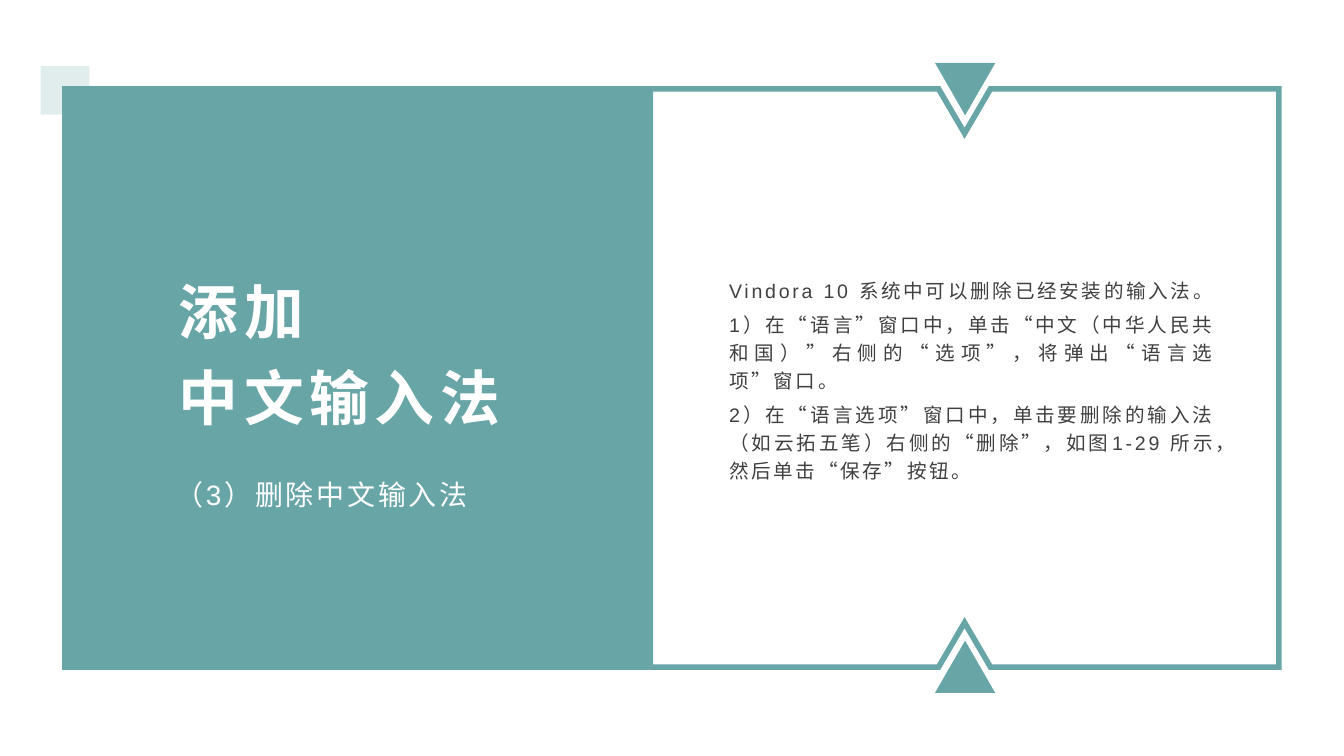
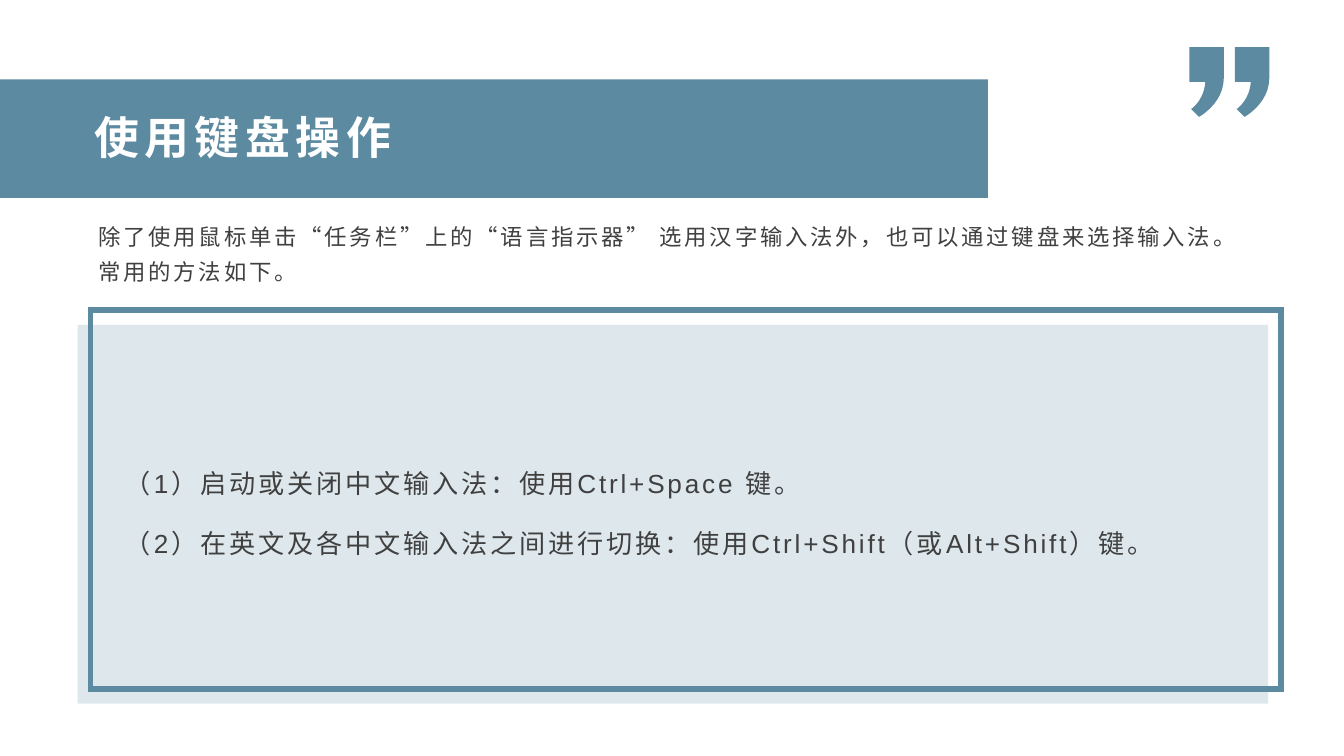
import dataclasses

import lxml.etree
import pptx
import pptx.dml.color
import pptx.enum.lang
import pptx.enum.shapes
import pptx.enum.text
import pptx.oxml.ns
import pptx.util

Cm = pptx.util.Cm
Pt = pptx.util.Pt
ShapeKind = pptx.enum.shapes.MSO_SHAPE
Align = pptx.enum.text.PP_ALIGN
Anchor = pptx.enum.text.MSO_ANCHOR


@dataclasses.dataclass(frozen=True)
class Theme:
    """Colours, font and sizes shared by the slides."""

    font: str = "Arial"
    white: str = "FFFFFF"
    ink: str = "404040"
    teal: str = "68A5A6"
    teal_tint: str = "E1EDED"
    blue: str = "5C8AA0"
    blue_tint: str = "DEE8EC"
    cover_size: float = 32
    title_size: float = 24
    subtitle_size: float = 15
    list_size: float = 14
    intro_size: float = 12
    body_size: float = 10.5
    title_tracking: float = 3
    text_tracking: float = 1.5
    line_width: float = 3


THEME = Theme()
TIGHT = (0.18, 0.1)
LOOSE = (0.25, 0.13)


def rgb(value):
    """Return a colour object for a hex value."""
    return pptx.dml.color.RGBColor.from_string(value)


def paint(shape, fill=None, line=None):
    """Set fill and a sharp-cornered line, and remove the shadow."""
    shape.shadow.inherit = False
    if fill:
        shape.fill.solid()
        shape.fill.fore_color.rgb = rgb(fill)
    else:
        shape.fill.background()
    if line:
        shape.line.color.rgb = rgb(line)
        shape.line.width = Pt(THEME.line_width)
        outline = shape._element.spPr.find(pptx.oxml.ns.qn("a:ln"))
        miter = lxml.etree.SubElement(outline, pptx.oxml.ns.qn("a:miter"))
        miter.set("lim", "800000")
    else:
        shape.line.fill.background()
    return shape


def add_preset(slide, box, kind=ShapeKind.RECTANGLE, fill=None, line=None):
    """Add a preset shape in a box given in centimetres."""
    shape = slide.shapes.add_shape(kind, *map(Cm, box))
    return paint(shape, fill, line)


def add_outline(slide, left, top, points, fill=None, line=None):
    """Add a closed polygon with points relative to left and top."""
    corners = [(Cm(left + x), Cm(top + y)) for x, y in points]
    builder = slide.shapes.build_freeform(*corners[0])
    builder.add_line_segments(corners[1:], close=True)
    return paint(builder.convert_to_shape(), fill, line)


def add_text(slide, box, lines, *, size, color=THEME.ink, bold=False,
             tracking=THEME.text_tracking, align=Align.LEFT, anchor=Anchor.TOP,
             spacing=1.0, before=0, after=0, inset=LOOSE):
    """Add a text box with one paragraph for each line."""
    frame = slide.shapes.add_textbox(*map(Cm, box)).text_frame
    frame.word_wrap = True
    frame.vertical_anchor = anchor
    frame.margin_left = frame.margin_right = Cm(inset[0])
    frame.margin_top = frame.margin_bottom = Cm(inset[1])
    for index, line in enumerate(lines):
        paragraph = frame.add_paragraph() if index else frame.paragraphs[0]
        paragraph.alignment = align
        paragraph.line_spacing = spacing
        paragraph.space_before = Pt(before if index else 0)
        paragraph.space_after = Pt(after)
        run = paragraph.add_run()
        run.text = line
        run.font.size = Pt(size)
        run.font.bold = bold
        run.font.color.rgb = rgb(color)
        run.font.name = THEME.font
        run.font.language_id = pptx.enum.lang.MSO_LANGUAGE_ID.SIMPLIFIED_CHINESE
        run._r.get_or_add_rPr().set("spc", str(round(tracking * 100)))


def bezier(start, first, second, end, steps=12):
    """Return points along a cubic curve, without its start."""
    points = []
    for step in range(1, steps + 1):
        t = step / steps
        weights = ((1 - t) ** 3, 3 * t * (1 - t) ** 2, 3 * t * t * (1 - t), t ** 3)
        controls = (start, first, second, end)
        points.append(tuple(sum(w * c[axis] for w, c in zip(weights, controls))
                            for axis in (0, 1)))
    return points


def add_title_panel(slide, box, title, subtitle):
    """Add the coloured panel with its corner square, title and subtitle."""
    left, top, _, _ = box
    add_preset(slide, (left - 0.46, top - 0.43, 0.92, 0.92), fill=THEME.teal_tint)
    add_preset(slide, box, fill=THEME.teal, line=THEME.teal)
    add_text(slide, (left + 1.9, top + 2.23, 7.34, 4.39), title,
             size=THEME.cover_size, color=THEME.white, bold=True,
             tracking=THEME.title_tracking, anchor=Anchor.BOTTOM, spacing=1.2)
    add_text(slide, (left + 1.9, top + 7.18, 7.34, 0.94), [subtitle],
             size=THEME.subtitle_size, color=THEME.white, spacing=1.1, inset=TIGHT)


def add_notched_frame(slide, box, lines):
    """Add the frame with two notches, their triangles and the body text."""
    left, top, width, height = box
    middle, notch, depth = width / 2, 0.49, 0.84
    upper = [(0, 0), (middle - notch, 0), (middle, depth), (middle + notch, 0), (width, 0)]
    lower = [(x, height - y) for x, y in reversed(upper)]
    add_outline(slide, left, top, upper + lower, THEME.white, THEME.teal)
    add_text(slide, (left + 1.24, top + 3.35, 9.7, 4.24), lines,
             size=THEME.body_size, align=Align.JUSTIFY, anchor=Anchor.MIDDLE,
             spacing=1.2, after=3)
    side, rise, overhang = 1.14, 0.99, 0.49
    for y, rotation in ((top - overhang, 180), (top + height + overhang - rise, 0)):
        triangle = add_preset(slide, (left + middle - side / 2 + 0.01, y, side, rise),
                              ShapeKind.ISOSCELES_TRIANGLE, THEME.teal)
        triangle.rotation = rotation


def add_banner(slide, box, title):
    """Add the title band and its title."""
    left, top, _, _ = box
    add_preset(slide, box, fill=THEME.blue)
    add_text(slide, (left + 1.6, top + 0.48, 22.02, 1.3), [title],
             size=THEME.title_size, color=THEME.white, bold=True,
             tracking=THEME.title_tracking, inset=TIGHT)


def add_quote_marks(slide, left, top, pitch=0.86):
    """Add a pair of closing quote marks."""
    mark = [(0.18, 1.32), (0.03, 1.17)]
    mark += bezier(mark[-1], (0.05, 1.17), (0.28, 0.99), (0.3, 0.66))
    mark += [(0, 0.66), (0, 0), (0.65, 0), (0.65, 0.58)]
    mark += bezier(mark[-1], (0.65, 1.07), mark[0], mark[0])
    for index in range(2):
        add_outline(slide, left + index * pitch, top, mark, THEME.blue)


def add_list_card(slide, box, lines):
    """Add the tinted card, its shifted outline and the list."""
    left, top, width, height = box
    add_preset(slide, box, fill=THEME.blue_tint)
    add_preset(slide, (left + 0.24, top - 0.28, width, height), line=THEME.blue)
    add_text(slide, (left + 0.64, top + 0.28, 21.21, 6.38), lines,
             size=THEME.list_size, anchor=Anchor.MIDDLE, spacing=1.3, before=10)


def build_removal_slide(slide):
    """Build the slide on removing an input method."""
    left, top, height, split = 1.23, 1.68, 10.93, 12.29
    add_title_panel(slide, (left, top, split - left, height),
                    ["添加", "中文输入法"], "（3）删除中文输入法")
    add_notched_frame(slide, (split, top, 11.88, height), [
        "Vindora 10 系统中可以删除已经安装的输入法。",
        "1）在“语言”窗口中，单击“中文（中华人民共和国）”右侧的“选项”，将弹出“语言选项”窗口。",
        "2）在“语言选项”窗口中，单击要删除的输入法（如云拓五笔）右侧的“删除”，"
        "如图1-29 所示，然后单击“保存”按钮。",
    ])


def build_keyboard_slide(slide):
    """Build the slide on keyboard operation."""
    add_banner(slide, (0, 1.5, 18.67, 2.24), "使用键盘操作")
    add_quote_marks(slide, 22.48, 0.89)
    add_text(slide, (1.68, 3.96, 22.05, 1.73), [
        "除了使用鼠标单击“任务栏”上的“语言指示器” 选用汉字输入法外，"
        "也可以通过键盘来选择输入法。常用的方法如下。",
    ], size=THEME.intro_size, spacing=1.3, inset=TIGHT)
    add_list_card(slide, (1.47, 6.14, 22.5, 7.16), [
        "（1）启动或关闭中文输入法：使用Ctrl+Space 键。",
        "（2）在英文及各中文输入法之间进行切换：使用Ctrl+Shift（或Alt+Shift）键。",
    ])


def main():
    """Build and save the presentation."""
    presentation = pptx.Presentation()
    presentation.slide_width = Cm(25.4)
    presentation.slide_height = Cm(14.29)
    blank = presentation.slide_layouts[6]
    for build in (build_removal_slide, build_keyboard_slide):
        build(presentation.slides.add_slide(blank))
    presentation.save("out.pptx")


if __name__ == "__main__":
    main()
